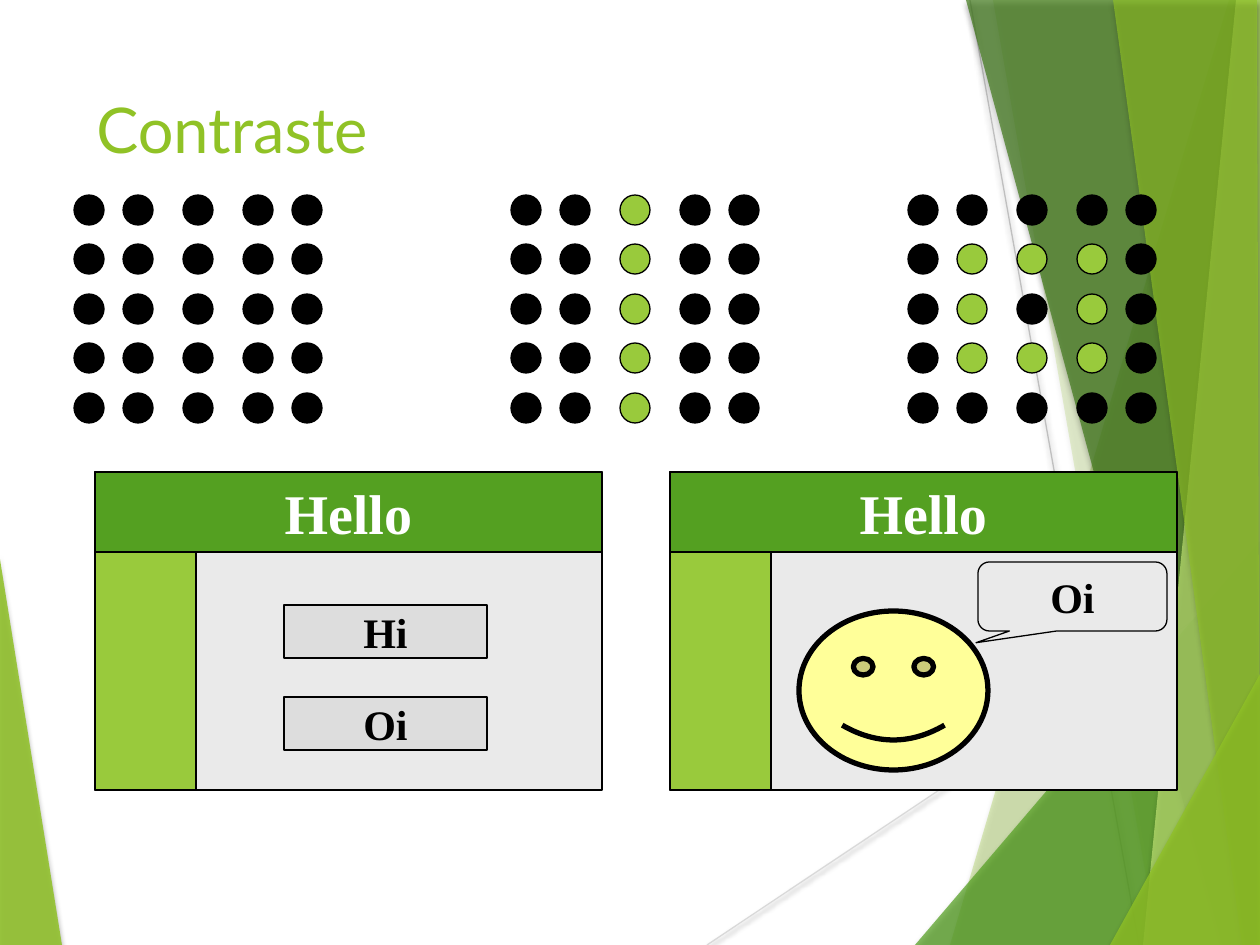
from dataclasses import dataclass
from typing import NamedTuple, Optional

from lxml.etree import SubElement
from pptx import Presentation
from pptx.dml.color import RGBColor
from pptx.enum.shapes import MSO_CONNECTOR, MSO_SHAPE
from pptx.enum.text import MSO_ANCHOR, PP_ALIGN
from pptx.oxml.ns import qn
from pptx.util import Emu, Pt

EMU_PER_PX = 914400 / 126
WIDTH, HEIGHT = 1260, 945

BLACK = RGBColor(0x00, 0x00, 0x00)
WHITE = RGBColor(0xFF, 0xFF, 0xFF)
LEAF = RGBColor(0x90, 0xC2, 0x26)
GREEN = RGBColor(0x54, 0xA0, 0x21)
DARK_GREEN = RGBColor(0x3F, 0x78, 0x19)
PALE_GREEN = RGBColor(0xC0, 0xE4, 0x74)
LIME = RGBColor(0x99, 0xCA, 0x3C)
PANEL_GRAY = RGBColor(0xEA, 0xEA, 0xEA)
BUTTON_GRAY = RGBColor(0xDD, 0xDD, 0xDD)
LIGHT_RULE = RGBColor(0xD9, 0xD9, 0xD9)
MID_RULE = RGBColor(0xBF, 0xBF, 0xBF)
YELLOW = RGBColor(0xFF, 0xFF, 0x99)


class Box(NamedTuple):
    left: int
    top: int
    width: int
    height: int


class Label(NamedTuple):
    text: str
    size: int
    color: RGBColor


class Shadow(NamedTuple):
    blur: float
    distance: float
    opacity: int


@dataclass
class Facet:
    points: list[tuple[int, int]]
    color: RGBColor
    opacity: int


@dataclass
class Rule:
    start: tuple[int, int]
    end: tuple[int, int]
    color: RGBColor


@dataclass
class DotGrid:
    left: int
    rows: list[str]


FACET_SHADOW = Shadow(3, 2, 35)
RULE_SHADOW = Shadow(3.1, 1.6, 38)

LEFT_FACET = Facet([(-1, 553), (62, HEIGHT), (-1, HEIGHT)], LEAF, 85)
RULES = [
    Rule((707, HEIGHT), (WIDTH, 576), LIGHT_RULE),
    Rule((970, 0), (1139, HEIGHT), MID_RULE),
]
BOTTOM_RIGHT, TOP_RIGHT = (WIDTH, HEIGHT), (WIDTH, 0)
RIGHT_FACETS = [
    Facet([(1229, 0), (950, HEIGHT), BOTTOM_RIGHT, TOP_RIGHT], LEAF, 30),
    Facet([(993, 0), (1158, HEIGHT), BOTTOM_RIGHT, TOP_RIGHT], LEAF, 20),
    Facet([(915, HEIGHT), (WIDTH, 541), BOTTOM_RIGHT], GREEN, 72),
    Facet([(966, 0), (1222, HEIGHT), BOTTOM_RIGHT, TOP_RIGHT], DARK_GREEN, 70),
    Facet([(1236, 0), (1143, HEIGHT), BOTTOM_RIGHT, TOP_RIGHT], PALE_GREEN, 70),
    Facet([(1113, 0), (1242, HEIGHT), BOTTOM_RIGHT, (1257, 0)], LEAF, 65),
    Facet([(1110, HEIGHT), (WIDTH, 674), BOTTOM_RIGHT], LEAF, 80),
]

DOT_SIZE = 30
DOT_TOP, DOT_SPAN = 195, 198
COLUMN_OFFSETS = [0, 49, 109, 169, 218]
DOT_COLORS = {"x": BLACK, "o": LIME}
DOT_GRIDS = [
    DotGrid(74, ["xxxxx"] * 5),
    DotGrid(511, ["xxoxx"] * 5),
    DotGrid(908, ["xxxxx", "xooox", "xoxox", "xooox", "xxxxx"]),
]

PANEL_TOP, PANEL_WIDTH, PANEL_HEIGHT = 472, 507, 318
HEADER_HEIGHT, SIDEBAR_WIDTH = 80, 101


def px(length: int) -> Emu:
    return Emu(round(length * EMU_PER_PX))


def add_shadow(shape, shadow: Shadow) -> None:
    """Give the shape a soft black shadow that falls straight down."""
    properties = shape._element.spPr
    effects = properties.find(qn("a:effectLst"))
    if effects is None:
        effects = SubElement(properties, qn("a:effectLst"))
    outer = SubElement(effects, qn("a:outerShdw"), blurRad=str(Pt(shadow.blur)),
                       dist=str(Pt(shadow.distance)), dir="5400000", rotWithShape="0")
    color = SubElement(outer, qn("a:srgbClr"), val="000000")
    SubElement(color, qn("a:alpha"), val=str(shadow.opacity * 1000))


def draw_facet(page, facet: Facet) -> None:
    builder = page.shapes.build_freeform(*facet.points[0], scale=EMU_PER_PX)
    builder.add_line_segments(facet.points[1:], close=True)
    shape = builder.convert_to_shape()
    shape.fill.solid()
    shape.fill.fore_color.rgb = facet.color
    color = shape._element.spPr.find(qn("a:solidFill")).find(qn("a:srgbClr"))
    SubElement(color, qn("a:alpha"), val=str(facet.opacity * 1000))
    shape.line.fill.background()
    shape.shadow.inherit = False
    add_shadow(shape, FACET_SHADOW)


def draw_rule(page, rule: Rule) -> None:
    ends = [px(value) for value in (*rule.start, *rule.end)]
    connector = page.shapes.add_connector(MSO_CONNECTOR.STRAIGHT, *ends)
    connector.line.color.rgb = rule.color
    connector.line.width = Pt(0.75)
    add_shadow(connector, RULE_SHADOW)


def draw_shape(page, kind: MSO_SHAPE, box: Box, fill: Optional[RGBColor],
               label: Optional[Label] = None, line_width: float = 0.75):
    shape = page.shapes.add_shape(kind, *map(px, box))
    shape.shadow.inherit = False
    if fill is None:
        shape.fill.background()
    else:
        shape.fill.solid()
        shape.fill.fore_color.rgb = fill
    shape.line.color.rgb = BLACK
    shape.line.width = Pt(line_width)
    if label:
        frame = shape.text_frame
        frame.word_wrap = False
        frame.vertical_anchor = MSO_ANCHOR.MIDDLE
        para = frame.paragraphs[0]
        para.text = label.text
        para.alignment = PP_ALIGN.CENTER
        para.font.name = "Times New Roman"
        para.font.size = Pt(label.size)
        para.font.bold = True
        para.font.color.rgb = label.color
    return shape


def draw_title(page, text: str) -> None:
    box = page.shapes.add_textbox(*map(px, Box(84, 84, 874, 181)))
    box.text_frame.word_wrap = True
    para = box.text_frame.paragraphs[0]
    para.text = text
    para.font.name = "Lato"
    para.font.size = Pt(36)
    para.font.color.rgb = LEAF


def draw_dots(page, grid: DotGrid) -> None:
    for column, offset in enumerate(COLUMN_OFFSETS):
        for row, marks in enumerate(grid.rows):
            top = DOT_TOP + DOT_SPAN * row // (len(grid.rows) - 1)
            box = Box(grid.left + offset, top, DOT_SIZE, DOT_SIZE)
            draw_shape(page, MSO_SHAPE.OVAL, box, DOT_COLORS[marks[column]])


def draw_panel(page, left: int) -> None:
    """Draw a mock window: body, header and sidebar."""
    rectangle = MSO_SHAPE.RECTANGLE
    draw_shape(page, rectangle, Box(left, PANEL_TOP, PANEL_WIDTH, PANEL_HEIGHT), PANEL_GRAY)
    draw_shape(page, rectangle, Box(left, PANEL_TOP, PANEL_WIDTH, HEADER_HEIGHT), GREEN,
               Label("Hello", 32, WHITE))
    draw_shape(page, rectangle, Box(left, PANEL_TOP + HEADER_HEIGHT, SIDEBAR_WIDTH,
                                    PANEL_HEIGHT - HEADER_HEIGHT), LIME)


def main() -> None:
    deck = Presentation()
    deck.slide_width, deck.slide_height = px(WIDTH), px(HEIGHT)
    page = deck.slides.add_slide(deck.slide_layouts[6])

    draw_facet(page, LEFT_FACET)
    for rule in RULES:
        draw_rule(page, rule)
    for facet in RIGHT_FACETS:
        draw_facet(page, facet)

    draw_title(page, "Contraste")
    for grid in DOT_GRIDS:
        draw_dots(page, grid)

    draw_panel(page, 95)
    for text, top in (("Hi", 605), ("Oi", 697)):
        draw_shape(page, MSO_SHAPE.RECTANGLE, Box(284, top, 203, 53), BUTTON_GRAY,
                   Label(text, 24, BLACK))

    draw_panel(page, 670)
    draw_shape(page, MSO_SHAPE.SMILEY_FACE, Box(799, 611, 189, 159), YELLOW, line_width=3)
    callout = draw_shape(page, MSO_SHAPE.ROUNDED_RECTANGULAR_CALLOUT,
                         Box(978, 562, 189, 69), None, Label("Oi", 24, BLACK))
    callout.text_frame.word_wrap = True
    callout.text_frame.vertical_anchor = MSO_ANCHOR.TOP
    callout.adjustments[0] = -0.51
    callout.adjustments[1] = 0.67

    deck.save("out.pptx")


if __name__ == "__main__":
    main()
